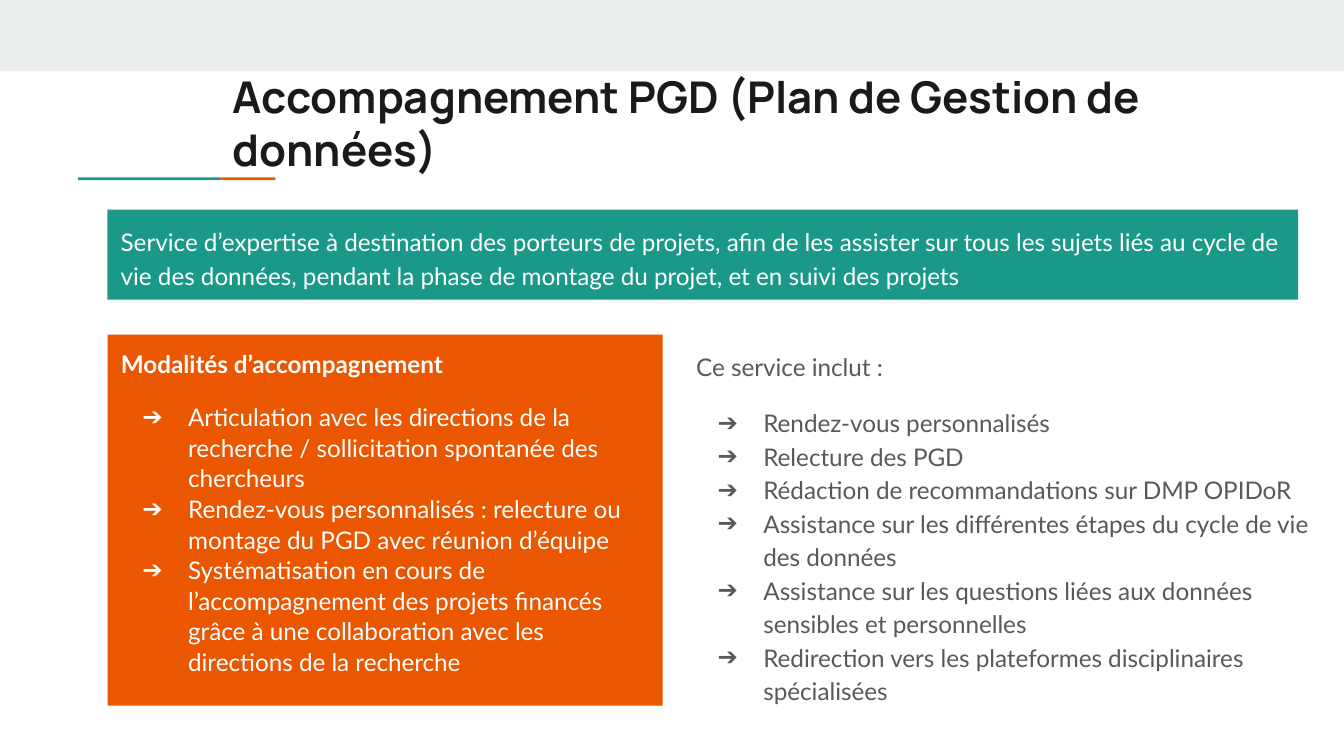
from lxml.etree import SubElement
from pptx import Presentation
from pptx.dml.color import RGBColor
from pptx.enum.shapes import MSO_SHAPE as Kind
from pptx.enum.text import MSO_ANCHOR as Anchor, MSO_AUTO_SIZE as Fit, PP_ALIGN as Align
from pptx.oxml.ns import qn
from pptx.util import Inches, Pt

HUES = {"band": "E9EDEE", "teal": "1A9988", "orange": "EB5600",
        "dark": "1A1A1A", "grey": "595959", "white": "FFFFFF"}

TITLE = "Accompagnement PGD (Plan de Gestion de données)"
BANNER = ("Service d’expertise à destination des porteurs de projets, afin de les "
          "assister sur tous les sujets liés au cycle de vie des données, pendant la "
          "phase de montage du projet, et en suivi des projets")
MODES = [
    "Articulation avec les directions de la recherche / sollicitation spontanée des chercheurs",
    "Rendez-vous personnalisés : relecture ou montage du PGD avec réunion d’équipe",
    "Systématisation en cours de l’accompagnement des projets financés grâce à une "
    "collaboration avec les directions de la recherche",
]
OFFERS = [
    "Rendez-vous personnalisés",
    "Relecture des PGD",
    "Rédaction de recommandations sur DMP OPIDoR",
    "Assistance sur les différentes étapes du cycle de vie des données",
    "Assistance sur les questions liées aux données sensibles et personnelles",
    "Redirection vers les plateformes disciplinaires spécialisées",
]
# Box (left, top, width, height) and fill
BARS = [
    ((0, 0, 10, 0.53), "band"),
    ((0.58, 1.32, 1.06, 0.02), "teal"),
    ((1.64, 1.32, 0.41, 0.02), "orange"),
]
LISTS = [
    {"head": "Modalités d’accompagnement", "items": MODES, "box": (0.8, 2.49, 4.13, 2.76),
     "fill": "orange", "hue": "white", "bold": True, "lead": 1.05},
    {"head": "Ce service inclut :", "items": OFFERS, "box": (5.08, 2.49, 4.76, 4.11),
     "fill": None, "hue": "grey", "bold": False, "lead": 1.15},
]
FRAME = {"word_wrap": True, "auto_size": Fit.NONE, "vertical_anchor": Anchor.TOP,
         **{f"margin_{side}": Inches(0.1) for side in ("left", "top", "right", "bottom")}}


def tint(hue):
    return RGBColor.from_string(HUES[hue])


def apply(target, values):
    for name, value in values.items():
        setattr(target, name, value)


def place(shape, box):
    apply(shape, dict(zip(("left", "top", "width", "height"), map(Inches, box))))


def paint(shape, hue):
    shape.fill.solid()
    shape.fill.fore_color.rgb = tint(hue)


def add_bar(slide, box, hue):
    bar = slide.shapes.add_shape(Kind.RECTANGLE, *map(Inches, box))
    paint(bar, hue)
    bar.line.fill.background()
    bar.shadow.inherit = False
    return bar


def mark(para, hue):
    """Set an arrow bullet, or no bullet when hue is None."""
    props = para._p.get_or_add_pPr()
    pos, hang = (0.5, -0.34) if hue else (0, 0)
    props.set("marL", str(Inches(pos)))
    props.set("indent", str(Inches(hang)))
    if hue:
        SubElement(SubElement(props, qn("a:buClr")), qn("a:srgbClr"), val=HUES[hue])
        SubElement(props, qn("a:buChar"), char="➔")
    else:
        SubElement(props, qn("a:buNone"))


def write(para, text, hue, lead, size=13, face="Lato", bold=False, before=0, bullet=None):
    apply(para, {"alignment": Align.LEFT, "line_spacing": lead,
                 "space_before": Pt(before), "space_after": Pt(0)})
    mark(para, bullet)
    run = para.add_run()
    run.text = text
    apply(run.font, {"size": Pt(size), "name": face, "bold": bold})
    run.font.color.rgb = tint(hue)


def fill_list(shape, data):
    place(shape, data["box"])
    if data["fill"]:
        paint(shape, data["fill"])
    frame = shape.text_frame
    apply(frame, FRAME)
    hue, lead = data["hue"], data["lead"]
    write(frame.paragraphs[0], data["head"], hue, lead, bold=data["bold"])
    for i, item in enumerate(data["items"]):
        write(frame.add_paragraph(), item, hue, lead, before=0 if i else 12, bullet=hue)


def main():
    deck = Presentation()
    wide = Inches(10)
    apply(deck, {"slide_width": wide, "slide_height": wide * 9 // 16})
    slide = deck.slides.add_slide(deck.slide_layouts[3])
    title, *bodies = slide.placeholders

    for box, hue in BARS:
        add_bar(slide, box, hue)

    place(title, (1.63, 0.42, 8.41, 0.59))
    apply(title.text_frame, FRAME)
    write(title.text_frame.paragraphs[0], TITLE, "dark", 1.0,
          size=23.4, face="Manrope", bold=True)

    for body, data in zip(bodies, LISTS):
        fill_list(body, data)

    banner = add_bar(slide, (0.8, 1.56, 8.86, 0.67), "teal")
    apply(banner.text_frame, FRAME)
    write(banner.text_frame.paragraphs[0], BANNER, "white", 1.15)

    deck.save("out.pptx")


if __name__ == "__main__":
    main()
